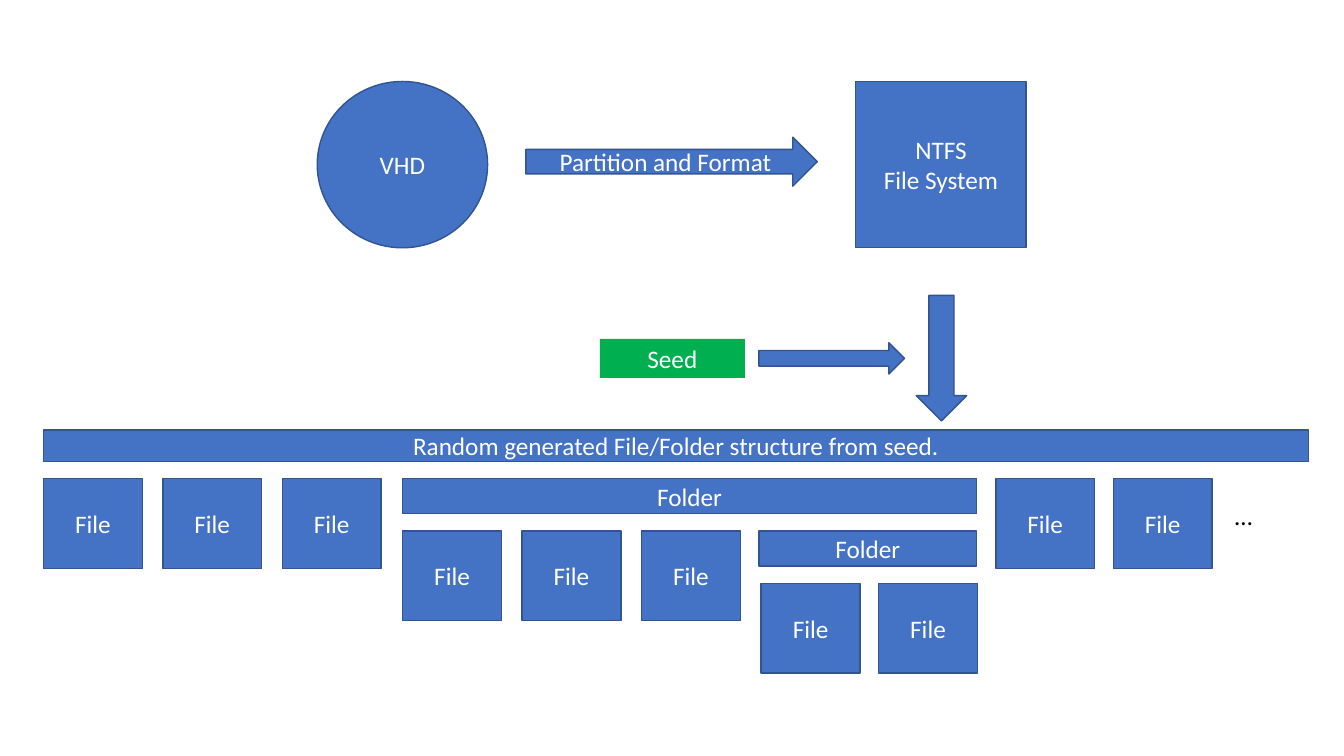
from dataclasses import dataclass
from typing import NamedTuple

from pptx import Presentation
from pptx.dml.color import RGBColor
from pptx.enum.shapes import MSO_SHAPE as Preset
from pptx.enum.text import MSO_ANCHOR as Anchor, MSO_AUTO_SIZE as AutoSize, PP_ALIGN as Align
from pptx.util import Pt


@dataclass(frozen=True)
class Theme:
    """Colours, font and line weights of the slide."""
    blue: RGBColor = RGBColor(0x44, 0x72, 0xC4)
    outline: RGBColor = RGBColor(0x32, 0x54, 0x91)
    green: RGBColor = RGBColor(0x00, 0xB0, 0x50)
    white: RGBColor = RGBColor(0xFF, 0xFF, 0xFF)
    black: RGBColor = RGBColor(0x00, 0x00, 0x00)
    font: str = "Calibri"
    size: int = 18
    line_width: int = 1


class Box(NamedTuple):
    """A rectangle in points."""
    left: float
    top: float
    width: float
    height: float

    def inner(self, left, top, width, height):
        """Return a box given relative to this one's corner."""
        return Box(self.left + left, self.top + top, width, height)

    def lengths(self):
        """Return the four sides as slide lengths."""
        return [Pt(value) for value in self]


THEME = Theme()
FILE_WIDTH, FILE_HEIGHT = 70.6, 64.2
FILE_PITCH, TIGHT_PITCH = 85.3, 83.9
FOLDER_HEIGHT = 25.2
LEVEL_STEP = 37.4


def write(shape, text, color=THEME.white, align=Align.CENTER, anchor=Anchor.MIDDLE):
    """Write text into a shape, one paragraph for each line."""
    frame = shape.text_frame
    frame.word_wrap = True
    frame.vertical_anchor = anchor
    frame.text = text
    for paragraph in frame.paragraphs:
        paragraph.alignment = align
        font = paragraph.font
        font.name, font.size = THEME.font, Pt(THEME.size)
        font.color.rgb = color


def add_block(slide, box, text="", preset=Preset.RECTANGLE, fill=THEME.blue, outline=THEME.outline):
    """Add a filled shape with an optional label and outline."""
    shape = slide.shapes.add_shape(preset, *box.lengths())
    shape.shadow.inherit = False
    shape.fill.solid()
    shape.fill.fore_color.rgb = fill
    if outline is None:
        shape.line.fill.background()
    else:
        shape.line.color.rgb = outline
        shape.line.width = Pt(THEME.line_width)
    if text:
        write(shape, text)


def add_files(slide, box, count, pitch=FILE_PITCH):
    """Add a row of equally spaced files from the corner of the box."""
    for index in range(count):
        add_block(slide, box.inner(index * pitch, 0, FILE_WIDTH, FILE_HEIGHT), "File")


def add_folder(slide, box, count, indent=0, pitch=FILE_PITCH):
    """Add a folder bar over the row of files it holds."""
    add_block(slide, box._replace(height=FOLDER_HEIGHT), "Folder")
    add_files(slide, box.inner(indent, LEVEL_STEP, box.width, FILE_HEIGHT), count, pitch)


def add_formatting(slide, box):
    """Add the step from the disk to the file system."""
    end_width = 121.7
    add_block(slide, box.inner(0, 0, end_width, box.height), "VHD", Preset.OVAL)
    add_block(slide, box.inner(149, 39.8, 208.2, 35), "Partition and Format", Preset.RIGHT_ARROW)
    add_block(slide, box.inner(box.width - end_width, 0, end_width, box.height), "NTFS\nFile System")


def add_seeding(slide, box):
    """Add the seed and the arrows that lead to the structure."""
    add_block(slide, box.inner(0, 31, 103.5, 28), "Seed", fill=THEME.green, outline=None)
    add_block(slide, box.inner(113.6, 33.8, 104, 22.4), preset=Preset.RIGHT_ARROW)
    add_block(slide, box.inner(box.width - 36, 0, 36, box.height), preset=Preset.DOWN_ARROW)


def add_structure(slide, box):
    """Add the generated tree of files and folders."""
    add_block(slide, box._replace(height=22.4), "Random generated File/Folder structure from seed.")
    root = box.inner(0, 34.6, box.width, box.height - 34.6)
    add_files(slide, root, 3)
    add_folder(slide, root.inner(256.6, 0, 410, 0), 3)
    add_folder(slide, root.inner(511, LEVEL_STEP, 155.6, 0), 2, indent=1.7, pitch=TIGHT_PITCH)
    add_files(slide, root.inner(680.3, 0, 0, 0), 2, TIGHT_PITCH)
    more = slide.shapes.add_textbox(*root.inner(844, 12.2, 42, 29).lengths())
    write(more, "…", color=THEME.black, align=Align.LEFT, anchor=Anchor.TOP)
    more.text_frame.auto_size = AutoSize.SHAPE_TO_FIT_TEXT


def build():
    """Build the slide and save the presentation."""
    presentation = Presentation()
    presentation.slide_width, presentation.slide_height = Pt(960), Pt(540)
    slide = presentation.slides.add_slide(presentation.slide_layouts[6])
    add_formatting(slide, Box(226.6, 58.2, 506.4, 118.8))
    add_seeding(slide, Box(428.5, 211, 262, 89.6))
    add_structure(slide, Box(31, 307.2, 903.6, 173.6))
    presentation.save("out.pptx")


build()
